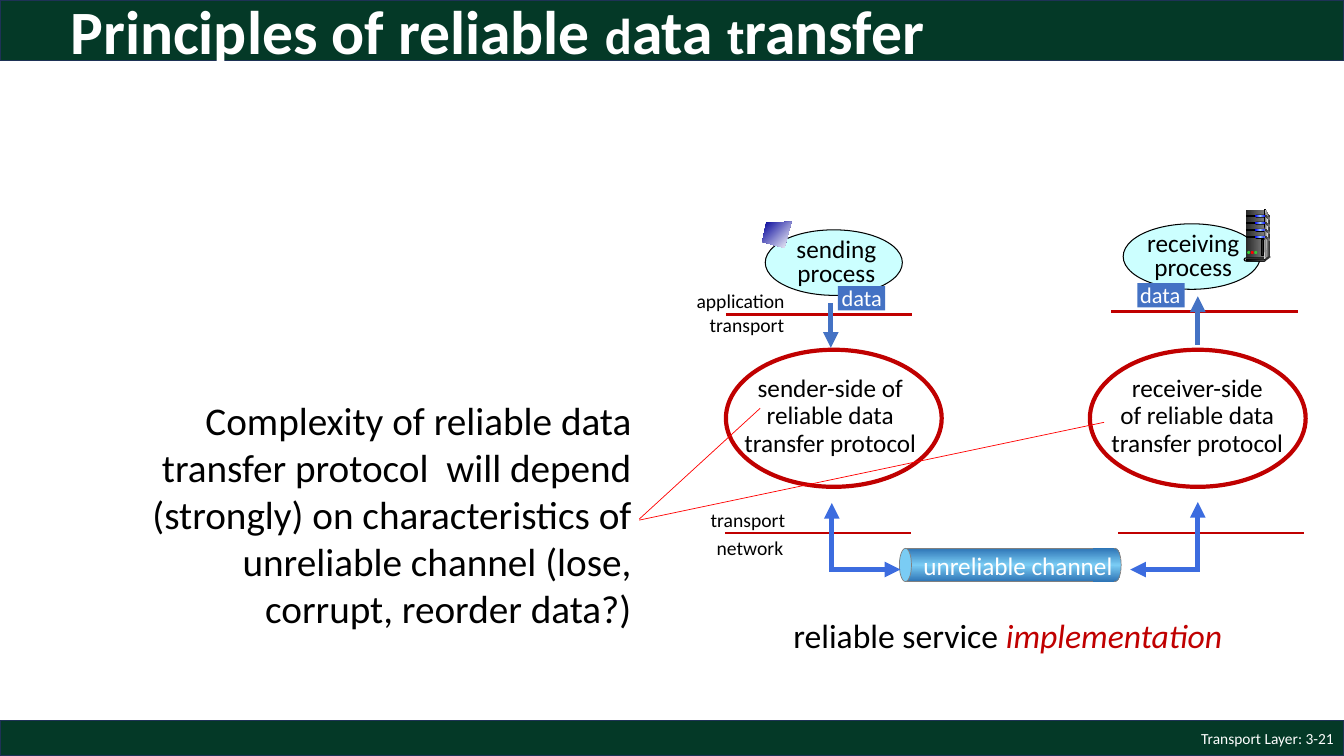
from copy import deepcopy
from lxml.etree import SubElement
from pptx import Presentation
from pptx.dml.color import RGBColor
from pptx.enum.shapes import MSO_CONNECTOR, MSO_SHAPE
from pptx.enum.text import MSO_ANCHOR, PP_ALIGN
from pptx.oxml.ns import qn
from pptx.util import Inches, Pt

COLORS = {key: RGBColor.from_string(value) for key, value in {
    "band": "043927", "band_edge": "1E3256", "white": "FFFFFF", "black": "000000",
    "process": "CCFFFF", "data": "4472C4", "arrow": "3C6CDF", "crimson": "C00000",
    "red": "FF0000", "navy": "000099", "tube": "2E75B6", "tube_light": "7ACCF4",
    "tube_edge": "808080", "gray": "808080", "dark": "292929", "charcoal": "333333",
    "silver": "DDDDDD", "blue": "0000FF", "sky": "99CCFF", "green": "33CC33"}.items()}
CELL = Inches(0.1)
RECT, OVAL, PILL = MSO_SHAPE.RECTANGLE, MSO_SHAPE.OVAL, MSO_SHAPE.ROUNDED_RECTANGLE
LEFT, CENTER, RIGHT = PP_ALIGN.LEFT, PP_ALIGN.CENTER, PP_ALIGN.RIGHT
TOP, MIDDLE = MSO_ANCHOR.TOP, MSO_ANCHOR.MIDDLE


def grid(*cells):
    return [round(cell * CELL) for cell in cells]


def paint(shape, fill, edge=None, weight=0):
    shape.shadow.inherit = False
    if fill is None:
        shape.fill.background()
    elif isinstance(fill, str):
        shape.fill.solid()
        shape.fill.fore_color.rgb = COLORS[fill]
    else:
        angle, *shades = fill
        shape.fill.gradient()
        shape.fill.gradient_angle = angle
        stop_list = shape._element.spPr.find(qn("a:gradFill")).find(qn("a:gsLst"))
        for _ in shades[2:]:
            stop_list.append(deepcopy(stop_list[-1]))
        for index, (stop, shade) in enumerate(zip(shape.fill.gradient_stops, shades)):
            stop.color.rgb = COLORS[shade]
            stop.position = index / (len(shades) - 1)
    if edge:
        shape.line.color.rgb = COLORS[edge]
        shape.line.width = Pt(weight)
    else:
        shape.line.fill.background()


prs = Presentation()
prs.slide_width, prs.slide_height = Inches(13.33), Inches(7.5)
slide = prs.slides.add_slide(prs.slide_layouts[6])

channel = (90, "tube", "tube_light", "tube")
metal = (0, "dark", "gray")
blocks = [
    (RECT, (0, 0, 133.3, 6), "band", "band_edge", 1),
    (RECT, (0, 71.5, 133.3, 3.5), "band", "band_edge", 1),
    (OVAL, (75.9, 22.8, 13.6, 6.5), "process", "black", 0.75),
    (RECT, (83.1, 28.4, 4.7, 2.4), "data"),
    (OVAL, (111.4, 22.2, 13.6, 6.5), "process", "black", 0.75),
    (RECT, (112.8, 28.1, 4.7, 2.4), "data"),
    (RECT, (89.8, 54.4, 20.7, 3.3), channel, "tube_edge", 0.5),
    (OVAL, (89.2, 54.4, 1.2, 3.3), "tube_light", "tube_edge", 0.5),
    (OVAL, (110, 54.4, 1.2, 3.3), channel, "tube_edge", 0.5),
    (RECT, (108.4, 54.4, 2.1, 3.3), channel),
    (OVAL, (72, 34.7, 21.4, 13.6), None, "crimson", 3),
    (OVAL, (108.1, 34.7, 21.4, 13.6), None, "crimson", 3),
    (RECT, (123.6, 20.8, 1.9, 4.9), metal),
    (RECT, (125.4, 20.8, 0.1, 4.9), (0, "charcoal", "silver", "charcoal"), "black", 0.75),
    (PILL, (123.4, 25.6, 2.1, 0.3), "silver", "black", 0.75),
    (PILL, (123.6, 25.7, 1.9, 0.2), (0, "black", "gray"), "black", 0.75),
    (RECT, (125.1, 23.8, 0.2, 1.6), "dark", "black", 0.75),
    (OVAL, (125.9, 25.4, 0.1, 0.2), "charcoal"),
]
outlines = [
    ([(78.5, 22), (76, 22.1), (75.6, 24), (77.8, 24.6)], (315, "navy", "white")),
    ([(125.5, 20.8), (125.9, 21.4), (125.9, 25.5), (125.4, 25.7)], (0, "silver", "charcoal")),
    ([(125.5, 21.1), (125.8, 21.5), (125.7, 23.5), (125.5, 25.5)], (0, "gray", "white")),
    ([(125.5, 25.6), (125.5, 25.9), (125.9, 25.6), (125.9, 25.4)], "charcoal"),
]
for light, shade in enumerate(("green", "red", "green")):
    blocks.append((OVAL, (123.7 + 0.35 * light, 24.9, 0.3, 0.3), shade))
for drive in range(4):
    top = 21.3 + 0.7 * drive
    blocks += [
        (RECT, (123.6, top + 0.1, 1.1, 0.1), "black", "black", 0.75),
        (PILL, (124.5, top, 1, 0.3), "black"),
        (PILL, (124.5, top, 1, 0.2), (0, "blue", "sky", "blue")),
    ]
    outlines.append(([(125.5, top), (125.9, top + 0.3), (125.9, top + 0.5),
                      (125.5, top + 0.2)], metal))

for preset, box, *finish in blocks:
    block = slide.shapes.add_shape(preset, *grid(*box))
    if preset == PILL:
        block.adjustments[0] = 0.5
    paint(block, *finish)

for corners, fill in outlines:
    start, *others = [grid(*corner) for corner in corners]
    builder = slide.shapes.build_freeform(*start, scale=1.0)
    builder.add_line_segments(others, close=True)
    paint(builder.convert_to_shape(), fill)

links = [
    ((72, 31.2, 90.5, 31.2), "crimson", 1.75, False),
    ((110.2, 30.9, 128.7, 30.9), "crimson", 1.75, False),
    ((71.9, 52.9, 90.4, 52.9), "crimson", 1.75, False),
    ((110.9, 52.9, 129.3, 52.9), "crimson", 1.75, False),
    ((82.4, 30.1, 82.4, 34.5), "data", 3.75, True),
    ((118.8, 34.2, 118.8, 29.4), "data", 3.75, True),
    ((82.5, 56.7, 82.5, 49.9), "arrow", 3.75, True),
    ((82.4, 56.5, 89.3, 56.5), "arrow", 3.75, True),
    ((118.9, 56.5, 112.1, 56.5), "arrow", 3.75, True),
    ((118.8, 56.7, 118.8, 49.8), "arrow", 3.75, True),
    ((75.4, 40.5, 63.4, 51.5), "red", 0.5, False),
    ((109.5, 41.9, 63.4, 51.6), "red", 0.5, False),
]
for ends, color, weight, arrow in links:
    link = slide.shapes.add_connector(MSO_CONNECTOR.STRAIGHT, *grid(*ends))
    link.line.color.rgb = COLORS[color]
    link.line.width = Pt(weight)
    if arrow:
        SubElement(link.line._get_or_add_ln(), qn("a:tailEnd"), type="triangle")
    SubElement(link._element.spPr, qn("a:effectLst"))

texts = [
    ((6, -1.5, 121.4, 9.8), LEFT, MIDDLE, 0.9, True, "white", 44,
     [[("Principles of reliable ", {"bold": True}), ("d", {"bold": True, "size": Pt(36)}),
       ("ata ", {"bold": True}), ("t", {"bold": True, "size": Pt(36)}),
       ("ransfer", {"bold": True})]]),
    ((103.3, 71.5, 30, 3.5), RIGHT, MIDDLE, 1, True, "white", 11,
     [[("Transport Layer: 3-21", {})]]),
    ((76.9, 23.2, 12.1, 5.9), CENTER, TOP, 0.8, True, "black", 18, [[("sending process", {})]]),
    ((112.3, 22.6, 12.1, 5.9), CENTER, TOP, 0.8, True, "black", 18,
     [[("receiving process", {})]]),
    ((82.5, 27.7, 6.3, 3.7), LEFT, TOP, 1, True, "white", 16, [[("data", {})]]),
    ((112.1, 27.4, 6.3, 3.7), LEFT, TOP, 1, True, "white", 16, [[("data", {})]]),
    ((68.1, 28.2, 10.9, 3.4), LEFT, TOP, 1, False, "black", 14, [[("application", {})]]),
    ((69.4, 30.6, 9.5, 3.4), LEFT, TOP, 1, False, "black", 14, [[("transport", {})]]),
    ((69.5, 49.9, 9.5, 3.4), LEFT, TOP, 1, False, "black", 14, [[("transport", {})]]),
    ((70.1, 52.7, 8.7, 3.4), LEFT, TOP, 1, False, "black", 14, [[("network", {})]]),
    ((72, 36.8, 20.7, 9.2), CENTER, TOP, 0.9, True, "black", 18,
     [[("sender-side of", {})], [("reliable data transfer protocol", {})]]),
    ((108.4, 36.8, 20.7, 9.2), CENTER, TOP, 0.9, True, "black", 18,
     [[("receiver-side", {})], [("of reliable data transfer protocol", {})]]),
    ((90.6, 54.1, 21, 4), LEFT, TOP, 1, False, "white", 18, [[("unreliable channel", {})]]),
    ((77.7, 60.5, 50.9, 5), LEFT, TOP, 1, True, "black", 24,
     [[("reliable service ", {}), ("implementation", {"italic": True, "color": "crimson"})]]),
    ((10.9, 38.8, 52.7, 24.6), RIGHT, TOP, 1, True, "black", 28,
     [[("Complexity of reliable data transfer protocol  will depend (strongly) on "
        "characteristics of unreliable channel (lose, corrupt, reorder data?)", {})]]),
]
for box, align, anchor, spacing, wrap, color, size, paragraphs in texts:
    frame = slide.shapes.add_textbox(*grid(*box)).text_frame
    frame.word_wrap, frame.vertical_anchor = wrap, anchor
    for index, pieces in enumerate(paragraphs):
        paragraph = frame.add_paragraph() if index else frame.paragraphs[0]
        paragraph.alignment, paragraph.line_spacing = align, spacing
        for words, changes in pieces:
            run = paragraph.add_run()
            run.text = words
            formats = {"name": "Calibri", "size": Pt(size), "color": color} | changes
            run.font.color.rgb = COLORS[formats.pop("color")]
            for attribute, value in formats.items():
                setattr(run.font, attribute, value)

prs.save("out.pptx")
